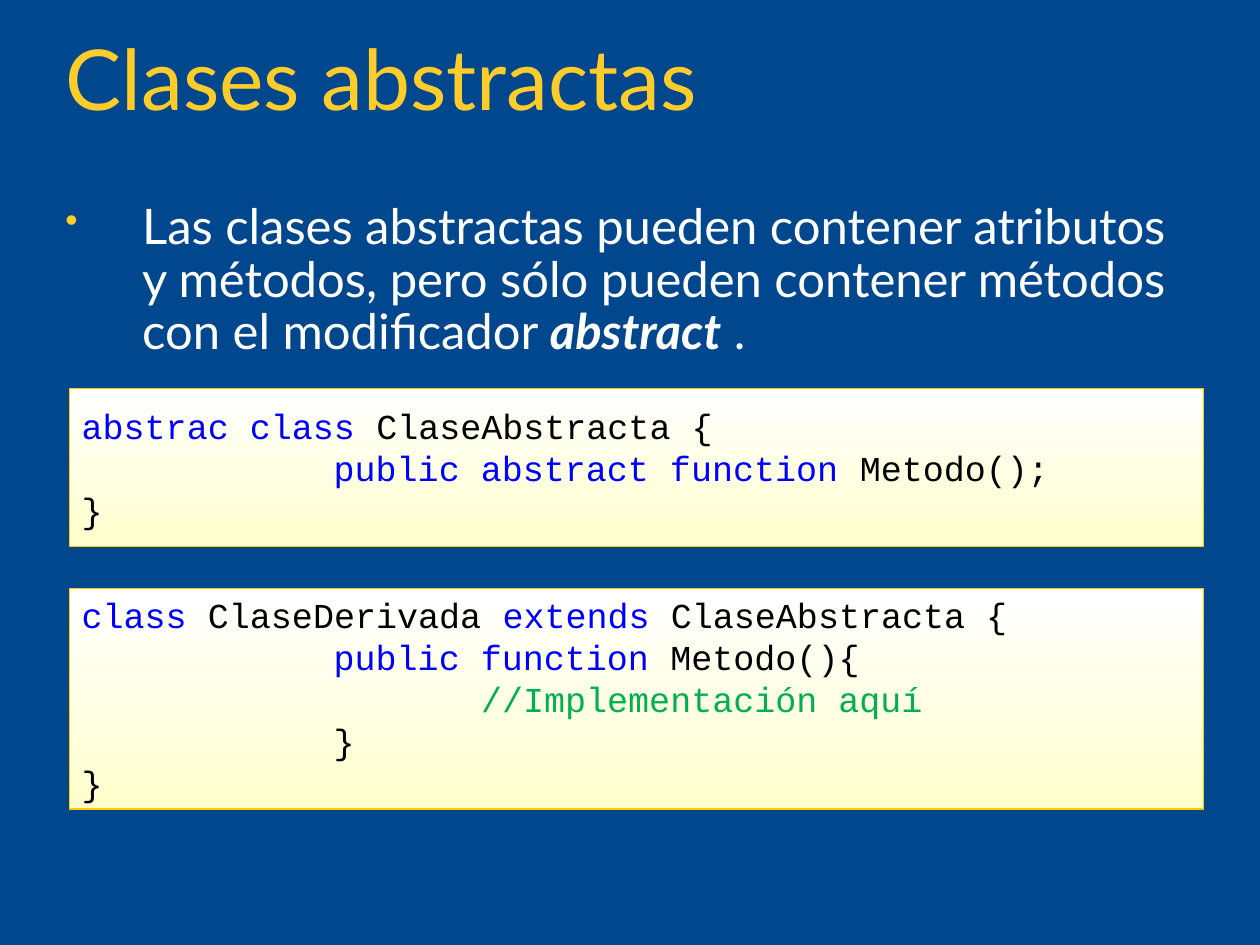
from dataclasses import dataclass

from lxml.etree import SubElement
from pptx import Presentation
from pptx.dml.color import RGBColor
from pptx.enum.shapes import MSO_SHAPE
from pptx.enum.text import MSO_ANCHOR, PP_ALIGN
from pptx.oxml.ns import qn
from pptx.util import Inches, Pt


@dataclass(frozen=True)
class Theme:
    background: str = "00478E"
    accent: str = "FFCC29"
    text: str = "FFFFFF"
    panel_top: str = "FFFFFF"
    panel_bottom: str = "FFFFCC"
    panel_line: str = "FFCC00"
    keyword: str = "0000FF"
    code: str = "000000"
    remark: str = "00B050"
    prose_font: str = "Lato"
    code_font: str = "Courier New"
    title_size: int = 48
    body_size: int = 28
    code_size: int = 20


THEME = Theme()
WIDTH, HEIGHT = Inches(10), Inches(7.5)
TEXT_LEFT, TEXT_WIDTH = 0.042, 0.918      # shares of the slide width
PANEL_LEFT, PANEL_WIDTH = 0.055, 0.9
HANGING = Inches(0.61)

# Each code line: indent in inches, then (text, colour) pieces
ABSTRACT_CLASS = [
    (0, [("abstrac class ", THEME.keyword), ("ClaseAbstracta {", THEME.code)]),
    (2, [("public abstract function ", THEME.keyword), ("Metodo();", THEME.code)]),
    (0, [("}", THEME.code)]),
]
DERIVED_CLASS = [
    (0, [("class ", THEME.keyword), ("ClaseDerivada ", THEME.code),
         ("extends ", THEME.keyword), ("ClaseAbstracta {", THEME.code)]),
    (2, [("public function ", THEME.keyword), ("Metodo(){", THEME.code)]),
    (3.17, [("//Implementación aquí", THEME.remark)]),
    (2, [("}", THEME.code)]),
    (0, [("}", THEME.code)]),
]


def rgb(value):
    return RGBColor.from_string(value)


def box(left, top, width, height):
    """Turn shares of the slide into lengths."""
    return (round(WIDTH * left), round(HEIGHT * top),
            round(WIDTH * width), round(HEIGHT * height))


def set_font(font, name, size, color=None):
    font.name, font.size = name, Pt(size)
    if color:
        font.color.rgb = rgb(color)


def add_title(slide, text):
    title = slide.shapes.title
    title.left, title.top, title.width, title.height = box(
        TEXT_LEFT, 0.033, TEXT_WIDTH, 0.11)
    title.text_frame.text = text
    paragraph = title.text_frame.paragraphs[0]
    paragraph.alignment = PP_ALIGN.LEFT
    paragraph.line_spacing = 0.9
    set_font(paragraph.font, THEME.prose_font, THEME.title_size, THEME.accent)


def add_bullet(paragraph):
    properties = paragraph._p.get_or_add_pPr()
    properties.set("marL", str(HANGING))
    properties.set("indent", str(-HANGING))
    color = SubElement(properties, qn("a:buClr"))
    SubElement(color, qn("a:srgbClr"), val=THEME.accent)
    SubElement(properties, qn("a:buSzPct"), val="75000")
    SubElement(properties, qn("a:buChar"), char="•")


def add_statement(slide, pieces):
    """Add one bulleted paragraph from (text, emphasised) pieces."""
    frame = slide.shapes.add_textbox(
        *box(TEXT_LEFT, 0.207, TEXT_WIDTH, 0.183)).text_frame
    frame.word_wrap = True
    paragraph = frame.paragraphs[0]
    paragraph.line_spacing = 0.9
    add_bullet(paragraph)
    set_font(paragraph.font, THEME.prose_font, THEME.body_size, THEME.text)
    for text, emphasised in pieces:
        run = paragraph.add_run()
        run.text = text
        if emphasised:
            run.font.bold = run.font.italic = True


def add_code_panel(slide, top, height, lines):
    panel = slide.shapes.add_shape(
        MSO_SHAPE.RECTANGLE, *box(PANEL_LEFT, top, PANEL_WIDTH, height))
    panel.shadow.inherit = False
    panel.fill.gradient()
    panel.fill.gradient_angle = 270
    for stop, color in zip(panel.fill.gradient_stops,
                           (THEME.panel_top, THEME.panel_bottom)):
        stop.color.rgb = rgb(color)
    panel.line.color.rgb = rgb(THEME.panel_line)
    panel.line.width = Pt(0.74)

    frame = panel.text_frame
    frame.word_wrap = True
    frame.vertical_anchor = MSO_ANCHOR.MIDDLE
    for number, (indent, pieces) in enumerate(lines):
        paragraph = frame.add_paragraph() if number else frame.paragraphs[0]
        paragraph.alignment = PP_ALIGN.LEFT
        paragraph._p.get_or_add_pPr().set("marL", str(Inches(indent)))
        set_font(paragraph.font, THEME.code_font, THEME.code_size)
        for text, color in pieces:
            run = paragraph.add_run()
            run.text = text
            run.font.color.rgb = rgb(color)


def main():
    deck = Presentation()
    deck.slide_width, deck.slide_height = WIDTH, HEIGHT
    slide = deck.slides.add_slide(deck.slide_layouts[5])
    slide.background.fill.solid()
    slide.background.fill.fore_color.rgb = rgb(THEME.background)

    # Heading and statement
    add_title(slide, "Clases abstractas")
    add_statement(slide, [
        ("Las clases abstractas pueden contener atributos y métodos, pero "
         "sólo pueden contener métodos con el modificador ", False),
        ("abstract", True),
        (" .", False),
    ])

    # Code examples
    add_code_panel(slide, 0.411, 0.167, ABSTRACT_CLASS)
    add_code_panel(slide, 0.623, 0.233, DERIVED_CLASS)

    deck.save("out.pptx")


main()
